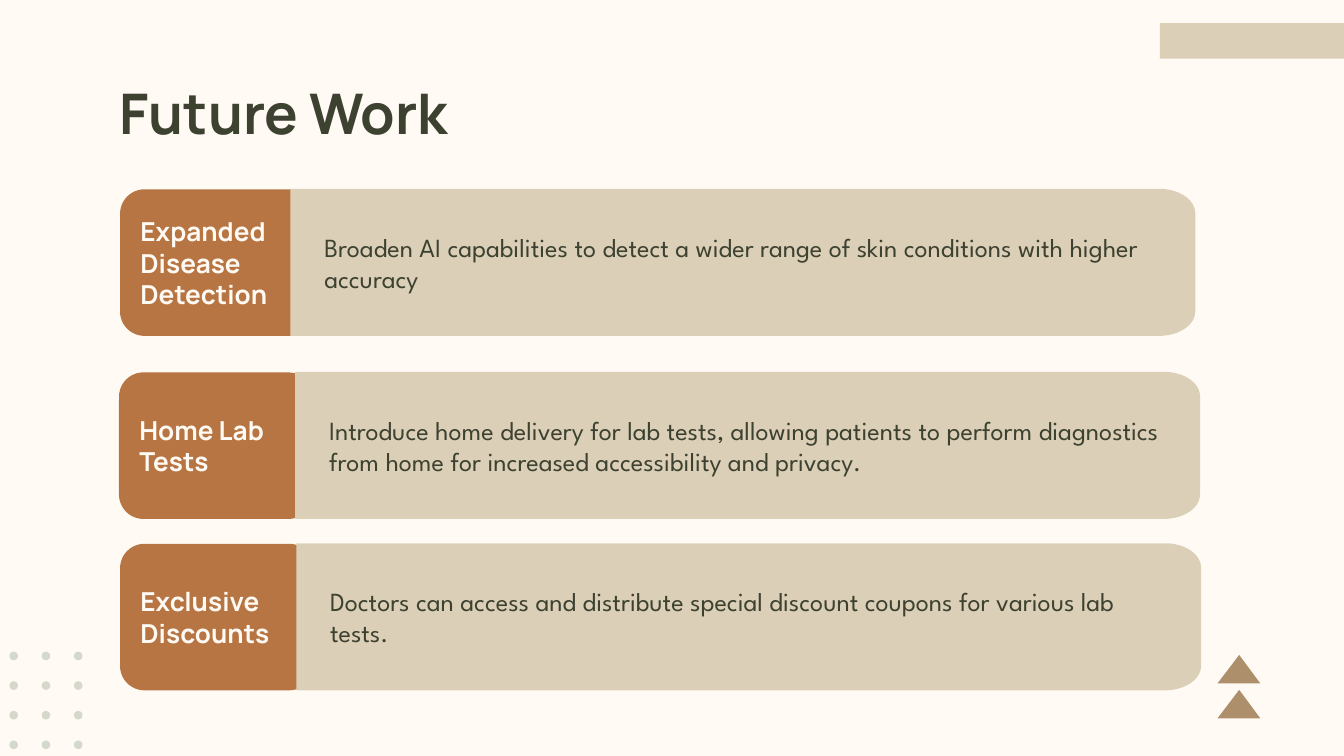
from math import cos, pi, sin

from pptx import Presentation
from pptx.dml.color import RGBColor
from pptx.enum.shapes import MSO_SHAPE
from pptx.enum.text import MSO_ANCHOR, PP_ALIGN
from pptx.util import Cm, Pt

RECT = MSO_SHAPE.RECTANGLE
ROUND = MSO_SHAPE.ROUNDED_RECTANGLE
TOP = MSO_ANCHOR.TOP
MIDDLE = MSO_ANCHOR.MIDDLE
LEFT = PP_ALIGN.LEFT

HUES = {
    "cream": "FFFBF4",
    "sand": "DBCFB7",
    "tan": "AD8F6B",
    "sage": "D5D9CB",
    "rust": "B77543",
    "moss": "3D4130",
}


def draw(shapes, loops, hue):
    loops = [[(Cm(x), Cm(y)) for x, y in loop] for loop in loops]
    pen = shapes.build_freeform(*loops[0][0])
    for loop in loops:
        if loop is not loops[0]:
            pen.move_to(*loop[0])
        pen.add_line_segments(loop[1:], close=True)
    shape = pen.convert_to_shape()
    shape.shadow.inherit = False
    shape.fill.solid()
    shape.fill.fore_color.rgb = RGBColor.from_string(HUES[hue])
    shape.line.fill.background()
    return shape


def write(shape, text, face, size, hue, bold, anchor, pads, lead=None):
    frame = shape.text_frame
    frame.word_wrap = True
    frame.vertical_anchor = anchor
    frame.margin_left, frame.margin_top, frame.margin_right, frame.margin_bottom = map(Cm, pads)
    para = frame.paragraphs[0]
    para.alignment = LEFT
    if lead:
        para.line_spacing = Pt(lead)
    run = para.add_run()
    run.text = text
    run.font.name = face
    run.font.size = Pt(size)
    run.font.bold = bold
    run.font.color.rgb = RGBColor.from_string(HUES[hue])


deck = Presentation()
deck.slide_width = Cm(25.4)
deck.slide_height = Cm(14.29)
slide = deck.slides.add_slide(deck.slide_layouts[6])
slide.background.fill.solid()
slide.background.fill.fore_color.rgb = RGBColor.from_string(HUES["cream"])
shapes = slide.shapes

bar = shapes.add_shape(RECT, Cm(21.92), Cm(0.44), Cm(3.48), Cm(0.67))
bar.shadow.inherit = False
bar.fill.solid()
bar.fill.fore_color.rgb = RGBColor.from_string(HUES["sand"])
bar.line.fill.background()

peaks = [[(23.42, y), (23.82, y + 0.54), (23.01, y + 0.54)] for y in (12.38, 13.04)]
draw(shapes, peaks, "tan")

spin = [2 * pi * i / 24 for i in range(24)]
dots = [
    [(0.26 + 0.61 * col + 0.08 * cos(t), 12.4 + 0.56 * row + 0.08 * sin(t)) for t in spin]
    for col in range(3) for row in range(4)
]
draw(shapes, dots, "sage")

title = shapes.add_textbox(Cm(2.01), Cm(1.24), Cm(21.41), Cm(1.6))
write(title, "Future Work", "Manrope", 30, "moss", True, TOP, (0.25, 0.25, 0.25, 0.25))

rows = [
    (3.57, 2.27, 4.04, 5.49, "Expanded Disease Detection",
     "Broaden AI capabilities to detect a wider range of skin conditions with higher accuracy"),
    (7.03, 2.25, 3.66, 5.58, "Home Lab Tests",
     "Introduce home delivery for lab tests, allowing patients to perform diagnostics "
     "from home for increased accessibility and privacy."),
    (10.27, 2.27, 3.66, 5.6, "Exclusive Discounts",
     "Doctors can access and distribute special discount coupons for various lab tests."),
]
wide, tall = 17.1, 2.78
bend, rise = 0.68, 0.46
turns = [pi / 2 * i / 12 for i in range(13)]
curve = [(wide - bend + bend * sin(t), rise * (1 - cos(t))) for t in turns]
edge = [(0, 0)] + curve + [(x, tall - y) for x, y in reversed(curve)] + [(0, tall)]

for top, start, width, left, name, note in rows:
    label = shapes.add_shape(ROUND, Cm(start), Cm(top + 0.01), Cm(width), Cm(2.77))
    label.shadow.inherit = False
    label.fill.solid()
    label.fill.fore_color.rgb = RGBColor.from_string(HUES["rust"])
    label.line.fill.background()
    write(label, name, "Manrope", 14, "cream", True, MIDDLE, (0.25, 0.13, 0.25, 0.13), 16.8)

    panel = draw(shapes, [[(left + x, top + y) for x, y in edge]], "sand")
    write(panel, note, "League Spartan", 14, "moss", False, MIDDLE, (0.64, 0.48, 0.48, 0.48), 16.8)

deck.save("out.pptx")
